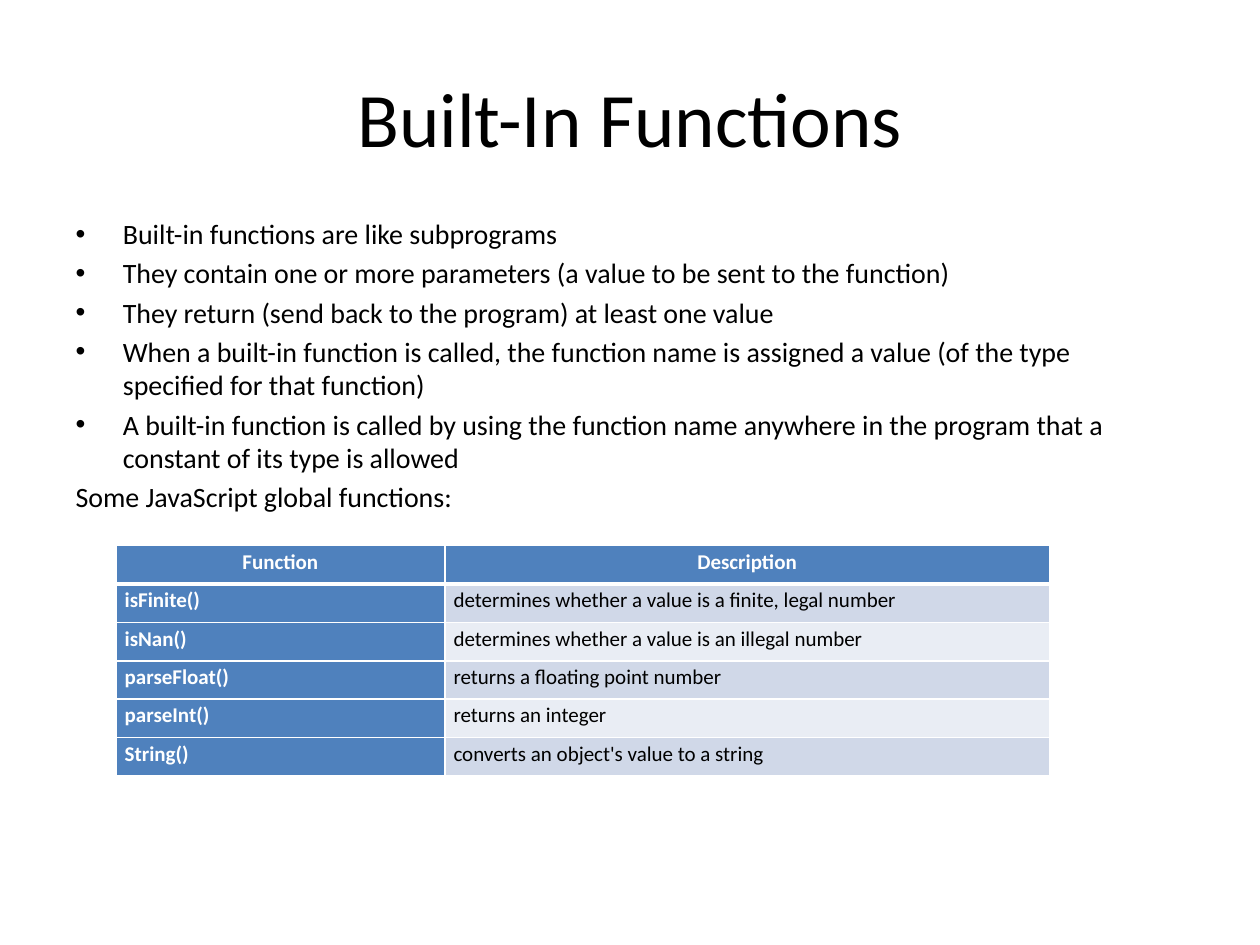
import pptx
import pptx.util
import pptx.oxml
import pptx.oxml.ns
import pptx.dml.color
import pptx.enum.text
import lxml.etree

Inches = pptx.util.Inches
Pt = pptx.util.Pt
ALIGN = pptx.enum.text.PP_ALIGN
ANCHOR = pptx.enum.text.MSO_ANCHOR
FONT = "Calibri"
COLOURS = {
    "text": "000000",
    "white": "FFFFFF",
    "accent": "4F81BD",
    "odd": "D0D8E8",
    "even": "E9EDF4",
}
POINTS = [
    "Built-in functions are like subprograms",
    "They contain one or more parameters (a value to be sent to the function)",
    "They return (send back to the program) at least one value",
    "When a built-in function is called, the function name is assigned a value "
    "(of the type specified for that function)",
    "A built-in function is called by using the function name anywhere in the "
    "program that a constant of its type is allowed",
]
ROWS = [
    ("Function", "Description"),
    ("isFinite()", "determines whether a value is a finite, legal number"),
    ("isNan()", "determines whether a value is an illegal number"),
    ("parseFloat()", "returns a floating point number"),
    ("parseInt()", "returns an integer"),
    ("String()", "converts an object's value to a string"),
]


def rgb(name):
    return pptx.dml.color.RGBColor.from_string(COLOURS[name])


def write(para, text, size, colour="text", bold=False, align=None, spacing=None):
    para.alignment = align
    para.line_spacing = spacing
    span = para.add_run()
    span.text = text
    span.font.name = FONT
    span.font.size = Pt(size)
    span.font.bold = bold
    span.font.color.rgb = rgb(colour)


def place(box, left, top, width, height):
    box.left, box.top = Inches(left), Inches(top)
    box.width, box.height = Inches(width), Inches(height)


def remove_bullet(para):
    properties = para._p.get_or_add_pPr()
    properties.set("marL", "0")
    properties.set("indent", "0")
    lxml.etree.SubElement(properties, pptx.oxml.ns.qn("a:buNone"))


def add_borders(cell, **widths):
    properties = cell._tc.get_or_add_tcPr()
    for side in "LRTB":
        properties.append(pptx.oxml.parse_xml(
            f'<a:ln{side} {pptx.oxml.ns.nsdecls("a")} w="{Pt(widths.get(side, 1))}">'
            f'<a:solidFill><a:srgbClr val="{COLOURS["white"]}"/></a:solidFill>'
            f'</a:ln{side}>'))


def add_title(page):
    title = page.shapes.title
    place(title, 0.5, 0.3, 9, 1.25)
    title.text_frame.vertical_anchor = ANCHOR.MIDDLE
    write(title.text_frame.paragraphs[0], "Built-In Functions", 44, align=ALIGN.CENTER)


def add_body(page):
    body = page.placeholders[1]
    place(body, 0.5, 1.67, 8.67, 5.37)
    frame = body.text_frame
    for index, point in enumerate(POINTS):
        para = frame.add_paragraph() if index else frame.paragraphs[0]
        write(para, point, 16)
    para = frame.add_paragraph()
    write(para, "Some JavaScript global functions:", 16)
    remove_bullet(para)


def fill_cell(cell, text, row, column):
    header = row == 0
    accent = header or column == 0
    cell.margin_left = cell.margin_right = Inches(0.07)
    cell.margin_top = cell.margin_bottom = 0
    add_borders(cell, T=3 if row == 1 else 1, B=3 if header else 1)
    cell.fill.solid()
    cell.fill.fore_color.rgb = rgb("accent" if accent else "odd" if row % 2 else "even")
    write(cell.text_frame.paragraphs[0], text, 12, spacing=1.15, bold=accent,
          colour="white" if accent else "text",
          align=ALIGN.CENTER if header else ALIGN.LEFT)


def add_function_table(page):
    table = page.shapes.add_table(
        len(ROWS), 2, Inches(0.92), Inches(4.33), Inches(7.41), Inches(1.83)).table
    table.first_col = True
    for column, width in zip(table.columns, (2.61, 4.8)):
        column.width = Inches(width)
    for row, texts in enumerate(ROWS):
        for column, text in enumerate(texts):
            fill_cell(table.cell(row, column), text, row, column)


def main():
    deck = pptx.Presentation()
    deck.slide_width, deck.slide_height = Inches(10), Inches(7.5)
    page = deck.slides.add_slide(deck.slide_layouts[1])
    add_title(page)
    add_body(page)
    add_function_table(page)
    deck.save("out.pptx")


main()
